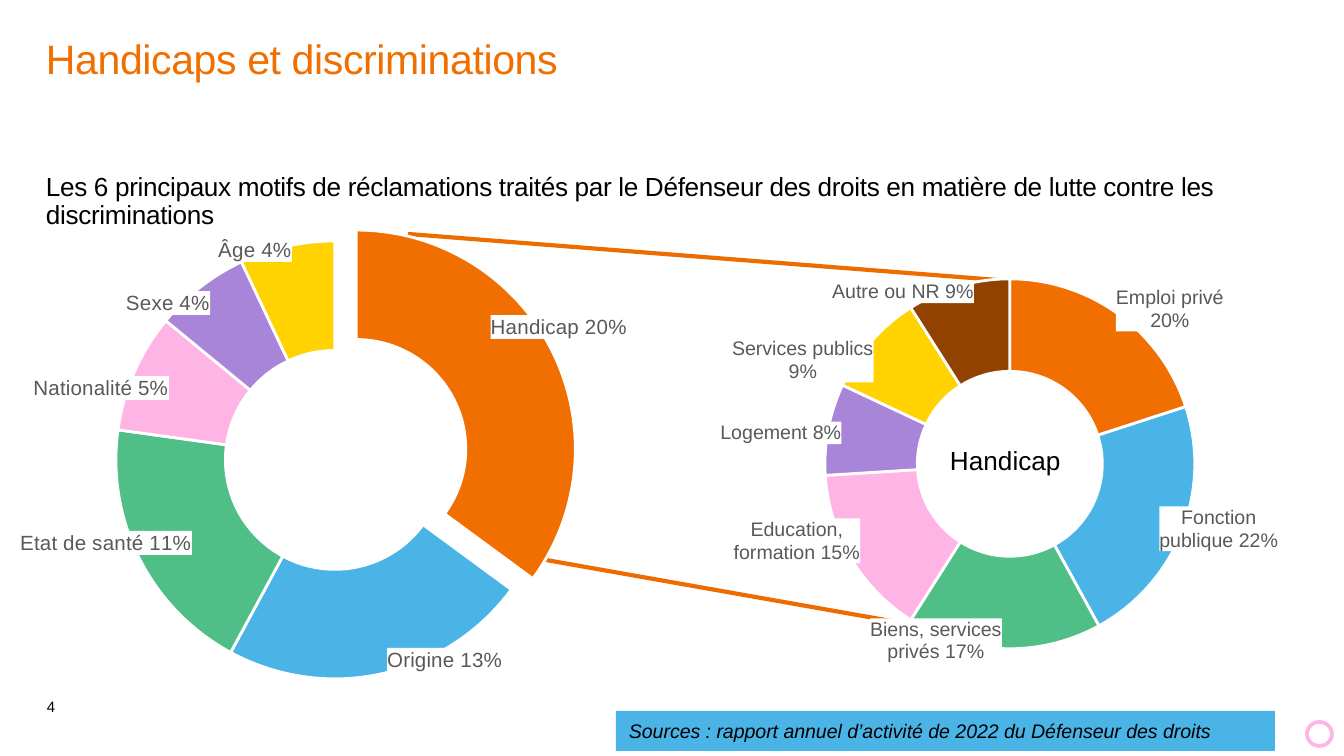
from math import cos, pi, sin

from pptx import Presentation
from pptx.chart.data import CategoryChartData
from pptx.dml.color import RGBColor
from pptx.enum.chart import XL_CHART_TYPE
from pptx.enum.shapes import MSO_CONNECTOR, MSO_SHAPE
from pptx.enum.text import MSO_ANCHOR, PP_ALIGN
from pptx.oxml import parse_xml
from pptx.oxml.ns import nsdecls, qn
from pptx.util import Pt

PX = 914400 / 134.4
FONT = "Arial"
BLACK = RGBColor(0, 0, 0)
WHITE = RGBColor(0xFF, 0xFF, 0xFF)
ORANGE = RGBColor(0xF1, 0x6E, 0x00)
DARK_ORANGE = RGBColor(0xEC, 0x6C, 0x00)
BLUE = RGBColor(0x4B, 0xB4, 0xE6)
GREEN = RGBColor(0x50, 0xBE, 0x87)
PINK = RGBColor(0xFF, 0xB4, 0xE6)
PURPLE = RGBColor(0xA8, 0x85, 0xD8)
YELLOW = RGBColor(0xFF, 0xD2, 0x00)
BROWN = RGBColor(0x91, 0x42, 0x00)
GREY = RGBColor(0x59, 0x59, 0x59)
PALETTE = [ORANGE, BLUE, GREEN, PINK, PURPLE, YELLOW, BROWN]
C15 = "http://schemas.microsoft.com/office/drawing/2012/chart"

MOTIVES = [
    ("Handicap", 0.2, (559, 327), 0),
    ("Origine", 0.13, (445, 660), 0),
    ("Etat de santé", 0.11, (106, 543), 0),
    ("Nationalité", 0.05, (101, 388), 0),
    ("Sexe", 0.04, (168, 303), 0),
    ("Âge", 0.04, (255, 250), 0),
]
DOMAINS = [
    ("Emploi privé", 0.2, (1170, 309), 112),
    ("Fonction publique", 0.22, (1219, 529), 122),
    ("Biens, services privés", 0.17, (936, 641), 136),
    ("Education, formation", 0.15, (797, 541), 130),
    ("Logement", 0.08, (781, 433), 0),
    ("Services publics", 0.09, (803, 360), 145),
    ("Autre ou NR", 0.09, (903, 292), 0),
]


def px(*lengths):
    """Turn pixel lengths into EMU."""
    return [round(n * PX) for n in lengths]


def write(s, text, size, color=BLACK, spacing=None, italic=False,
          inset=0, anchor=MSO_ANCHOR.TOP, wrap=True, line=None):
    """Set and format the single paragraph of a shape."""
    tf = s.text_frame
    tf.text = text
    tf.word_wrap = wrap
    tf.vertical_anchor = anchor
    tf.margin_left = tf.margin_right = px(inset)[0]
    tf.margin_top = tf.margin_bottom = 0
    p = tf.paragraphs[0]
    p.alignment = PP_ALIGN.LEFT
    if line:
        p.line_spacing = line
    r = p.runs[0]
    r.font.name, r.font.size, r.font.italic = FONT, Pt(size), italic
    r.font.color.rgb = color
    if spacing:
        r._r.get_or_add_rPr().set("spc", str(spacing))


def add_text(slide, box, text, size, **style):
    """Add a text box."""
    write(slide.shapes.add_textbox(*px(*box)), text, size, **style)


def add_preset(slide, kind, box, fill):
    """Add a flat preset shape without outline."""
    s = slide.shapes.add_shape(kind, *px(*box))
    s.shadow.inherit = False
    s.fill.solid()
    s.fill.fore_color.rgb = fill
    s.line.fill.background()
    return s


def add_link(slide, *ends):
    """Add a straight line between the two rings."""
    s = slide.shapes.add_connector(MSO_CONNECTOR.STRAIGHT, *px(*ends))
    s.line.color.rgb = DARK_ORANGE
    s.line.width = Pt(2.25)
    s._element.spPr.append(parse_xml(f"<a:effectLst {nsdecls('a')}/>"))


def label_style(size):
    """Return the shared XML of a white label showing name and value."""
    return f"""<c:numFmt formatCode="0%" sourceLinked="0"/>
      <c:spPr><a:solidFill><a:srgbClr val="{WHITE}"/></a:solidFill><a:ln><a:noFill/></a:ln></c:spPr>
      <c:txPr><a:bodyPr wrap="square" anchor="ctr"/><a:lstStyle/><a:p><a:pPr>
      <a:defRPr sz="{round(size * 100)}"><a:solidFill><a:srgbClr val="{GREY}"/></a:solidFill>
      <a:latin typeface="{FONT}"/></a:defRPr></a:pPr><a:endParaRPr lang="fr-FR"/></a:p></c:txPr>
      <c:showLegendKey val="0"/><c:showVal val="1"/><c:showCatName val="1"/><c:showSerName val="0"/>
      <c:showPercent val="0"/><c:showBubbleSize val="0"/><c:separator> </c:separator>"""


def labels_xml(rows, box, center, radius, explosion, size):
    """Return data labels moved from the middle of the ring to their places."""
    total = sum(value for _, value, _, _ in rows)
    style, items, done = label_style(size), "", 0
    for i, (_, value, (x, y), width) in enumerate(rows):
        angle = 2 * pi * (done + value / 2) / total
        done += value
        reach = radius * (0.75 + (explosion / 200 if i == 0 else 0))
        dx = (x - center[0] - reach * sin(angle)) / box[2]
        dy = (y - center[1] + reach * cos(angle)) / box[3]
        ext = ""
        if width:
            ext = f"""<c:extLst><c:ext uri="{{CE6537A1-D6FC-4f65-9D91-7224C49458BB}}" xmlns:c15="{C15}">
              <c15:layout><c:manualLayout><c:w val="{width / box[2]:.4f}"/><c:h val="{46 / box[3]:.4f}"/>
              </c:manualLayout></c15:layout></c:ext></c:extLst>"""
        items += f"""<c:dLbl><c:idx val="{i}"/><c:layout><c:manualLayout>
          <c:x val="{dx:.4f}"/><c:y val="{dy:.4f}"/></c:manualLayout></c:layout>{style}{ext}</c:dLbl>"""
    return f'<c:dLbls {nsdecls("c", "a")}>{items}{style}<c:showLeaderLines val="0"/></c:dLbls>'


def add_ring(slide, rows, box, center, radius, size, explosion=0):
    """Add a doughnut chart, its first slice pulled out by explosion percent."""
    data = CategoryChartData(number_format="0%")
    data.categories = [row[0] for row in rows]
    data.add_series("Series 1", [row[1] for row in rows])
    chart = slide.shapes.add_chart(XL_CHART_TYPE.DOUGHNUT, *px(*box), data).chart
    chart.has_title = chart.has_legend = False
    chart.font.name, chart.font.size = FONT, Pt(size)
    chart.font.color.rgb = BLACK
    plot = chart.plots[0]
    plot.vary_by_categories = True
    plot._element.find(qn("c:holeSize")).set("val", "63")
    series = plot.series[0]
    for i, color in enumerate(PALETTE[:len(rows)]):
        look = series.points[i].format
        look.fill.solid()
        look.fill.fore_color.rgb = color
        look.line.color.rgb = WHITE
        look.line.width = Pt(1.5)
    ser = series._element
    if explosion:
        ser.find(qn("c:dPt")).find(qn("c:spPr")).addprevious(
            parse_xml(f'<c:explosion {nsdecls("c")} val="{explosion}"/>'))
    ser.find(qn("c:cat")).addprevious(
        parse_xml(labels_xml(rows, box, center, radius, explosion, size)))
    area = chart._chartSpace.chart.plotArea
    for layout in area.findall(qn("c:layout")):
        area.remove(layout)
    area.insert(0, parse_xml(f"""<c:layout {nsdecls("c")}><c:manualLayout><c:layoutTarget val="inner"/>
      <c:xMode val="edge"/><c:yMode val="edge"/>
      <c:x val="{(center[0] - radius - box[0]) / box[2]:.4f}"/>
      <c:y val="{(center[1] - radius - box[1]) / box[3]:.4f}"/>
      <c:w val="{2 * radius / box[2]:.4f}"/><c:h val="{2 * radius / box[3]:.4f}"/>
      </c:manualLayout></c:layout>"""))


def main():
    """Build the slide and save it."""
    prs = Presentation()
    prs.slide_width, prs.slide_height = px(1344, 756)
    slide = prs.slides.add_slide(prs.slide_layouts[5])
    title = slide.shapes.title
    title.left, title.top, title.width, title.height = px(46, 39, 1251, 109)
    write(title, "Handicaps et discriminations", 22, ORANGE, spacing=-20, line=0.9)
    add_text(slide, (46, 666, 40, 50), "4", 8, inset=1, anchor=MSO_ANCHOR.BOTTOM, line=0.85)
    add_link(slide, 408, 234, 1010, 281)
    add_link(slide, 546, 560, 1010, 642)
    add_ring(slide, DOMAINS, (480, 224, 1055, 470), (1010, 464), 185, 10.5)
    add_text(slide, (46, 174, 1251, 495),
             "Les 6 principaux motifs de réclamations traités par le Défenseur des droits "
             "en matière de lutte contre les discriminations", 14, spacing=-20, line=0.9)
    source = add_preset(slide, MSO_SHAPE.RECTANGLE, (616, 711, 659, 40), BLUE)
    write(source, "Sources : rapport annuel d’activité de 2022 du Défenseur des droits",
          10.5, italic=True, inset=13, anchor=MSO_ANCHOR.MIDDLE)
    circle = add_preset(slide, MSO_SHAPE.OVAL, (1307, 722, 25, 24), WHITE)
    circle.line.color.rgb = PINK
    circle.line.width = Pt(2)
    add_ring(slide, MOTIVES, (-142, 198, 958, 524), (335, 460), 219, 11, explosion=22)
    add_text(slide, (950, 444, 120, 32), "Handicap", 14, wrap=False)
    prs.save("out.pptx")


if __name__ == "__main__":
    main()
